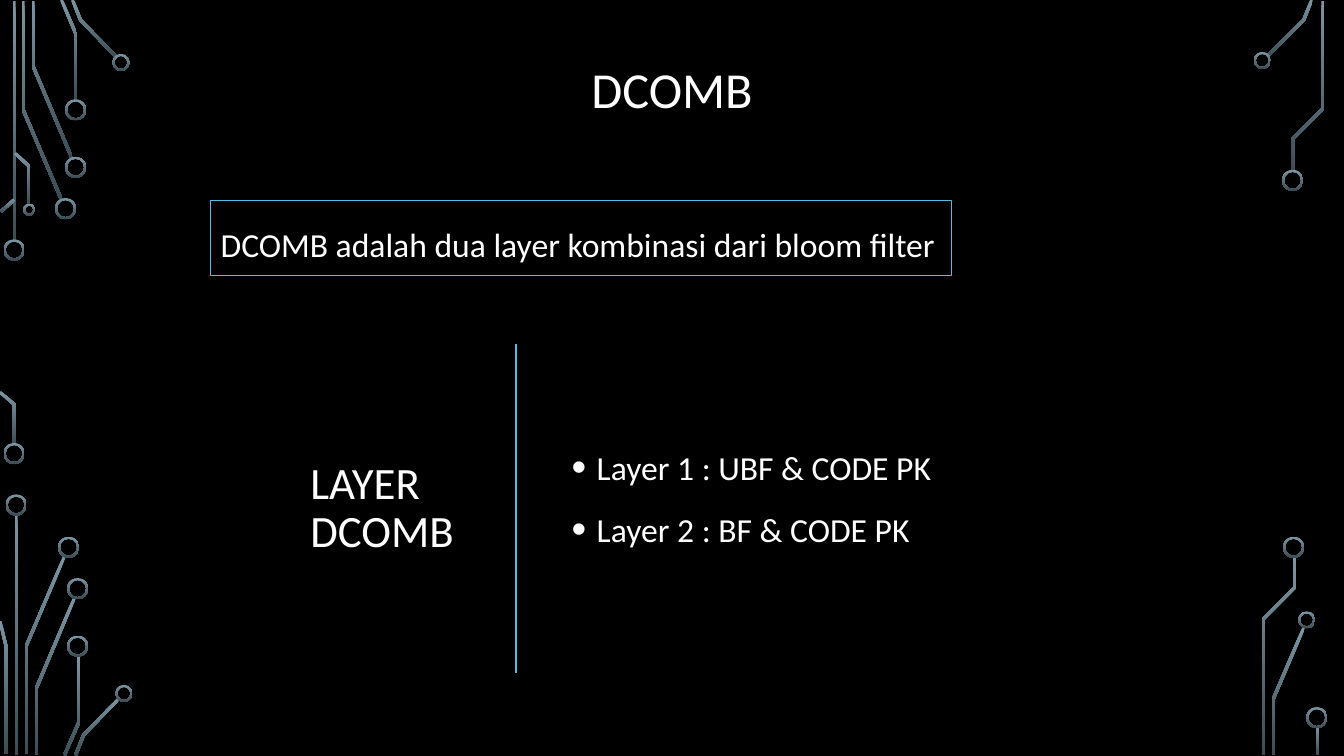
from math import hypot

from lxml.etree import SubElement
from pptx import Presentation
from pptx.dml.color import RGBColor
from pptx.enum.shapes import MSO_CONNECTOR, MSO_SHAPE
from pptx.enum.text import MSO_ANCHOR, PP_ALIGN
from pptx.oxml.ns import qn
from pptx.util import Inches, Pt

BLACK = RGBColor(0x00, 0x00, 0x00)
WHITE = RGBColor(0xFF, 0xFF, 0xFF)
CYAN = RGBColor(0x54, 0xBC, 0xDF)
PALE = RGBColor(0x7C, 0x96, 0xA3)
DARK = RGBColor(0x3B, 0x4C, 0x54)

TITLE = "DCOMB"
INTRO = "DCOMB adalah dua layer kombinasi dari bloom filter"
LABEL = "LAYER DCOMB"
LAYERS = ["Layer 1 : UBF & CODE PK", "Layer 2 : BF & CODE PK"]

# Circuit traces: the points along the middle of each track
TRACES = [
    [(0.14, 0.01), (0.14, 2.4)],
    [(0.23, 0.01), (0.23, 1.09), (0.61, 1.98)],
    [(0.33, 0.01), (0.33, 0.66), (0.71, 1.56)],
    [(0.61, 0), (0.75, 0.33), (0.75, 1)],
    [(0.72, 0), (0.8, 0.2), (1.16, 0.57)],
    [(0.01, 2.1), (0.14, 1.98)],
    [(0, 3.89), (0.14, 4.01), (0.14, 4.41)],
    [(0.15, 1.52), (0.29, 1.65), (0.29, 2.03)],
    [(0.16, 5.1), (0.16, 7.49)],
    [(0.26, 7.48), (0.26, 6.41), (0.64, 5.52)],
    [(0, 6.16), (0.06, 6.41), (0.06, 7.48)],
    [(0.36, 7.49), (0.36, 6.83), (0.74, 5.93)],
    [(0.64, 7.49), (0.78, 7.17), (0.78, 6.5)],
    [(0.75, 7.49), (0.83, 7.29), (1.18, 6.93)],
    [(13.01, 0), (12.93, 0.2), (12.57, 0.56)],
    [(12.82, 1.69), (12.82, 1.38), (13.12, 1.08), (13.12, 0.01)],
    [(12.63, 7.49), (12.63, 6.93), (12.93, 6.23)],
    [(12.53, 7.49), (12.53, 6.14), (12.84, 5.83), (12.84, 5.52)],
    [(13.07, 7.21), (13.07, 7.49)],
]
# Ring centres by diameter
RINGS = {
    0.21: [(0.14, 2.48), (0.14, 4.5), (0.65, 2.07), (0.75, 1.66), (0.75, 1.09),
           (0.16, 5.01), (0.68, 5.43), (0.77, 5.84), (0.77, 6.41),
           (12.82, 1.79), (12.83, 5.43), (13.06, 7.12)],
    0.17: [(1.2, 0.62), (1.23, 6.88), (12.52, 0.6), (12.96, 6.15)],
    0.12: [(0.29, 2.08)],
}
TRACK = 0.03
RIM = 0.02

deck = Presentation()
deck.slide_width, deck.slide_height = Inches(13.33), Inches(7.5)
slide = deck.slides.add_slide(deck.slide_layouts[6])
slide.background.fill.solid()
slide.background.fill.fore_color.rgb = BLACK
shapes = slide.shapes


def paint(shape):
    """Fill from pale at the top to dark at the bottom, with no line."""
    shape.shadow.inherit = False
    shape.line.fill.background()
    shape.fill.gradient()
    shape.fill.gradient_angle = 270
    for stop, shade in zip(shape.fill.gradient_stops, (PALE, DARK)):
        stop.color.rgb = shade


def add_trace(points):
    """Widen a middle line into a track with mitred corners."""
    norms = []
    for (x1, y1), (x2, y2) in zip(points, points[1:]):
        size = hypot(x2 - x1, y2 - y1)
        norms.append(((y1 - y2) / size, (x2 - x1) / size))
    left, right = [], []
    for (x, y), (ax, ay), (bx, by) in zip(points, norms[:1] + norms, norms + norms[-1:]):
        reach = TRACK / 2 / (1 + ax * bx + ay * by)
        dx, dy = (ax + bx) * reach, (ay + by) * reach
        left.append((Inches(x + dx), Inches(y + dy)))
        right.append((Inches(x - dx), Inches(y - dy)))
    edge = left + right[::-1]
    pen = shapes.build_freeform(*edge[0])
    pen.add_line_segments(edge[1:], close=True)
    paint(pen.convert_to_shape())


def add_ring(x, y, size):
    ring = shapes.add_shape(MSO_SHAPE.DONUT, Inches(x - size / 2), Inches(y - size / 2),
                            Inches(size), Inches(size))
    ring.adjustments[0] = RIM / size
    paint(ring)


def add_text(lines, box, size=24, align=PP_ALIGN.LEFT, anchor=MSO_ANCHOR.TOP,
             space=0.9, before=0, bullet=False):
    frame = shapes.add_textbox(*map(Inches, box)).text_frame
    frame.word_wrap = True
    frame.vertical_anchor = anchor
    for i, line in enumerate(lines):
        para = frame.paragraphs[0] if i == 0 else frame.add_paragraph()
        para.alignment = align
        para.line_spacing = space
        para.space_before = Pt(before)
        run = para.add_run()
        run.text = line
        run.font.name, run.font.size = "Calibri", Pt(size)
        run.font.color.rgb = WHITE
        if bullet:
            props = para._p.get_or_add_pPr()
            props.set("marL", str(Inches(0.25)))
            props.set("indent", str(Inches(-0.25)))
            SubElement(props, qn("a:buSzPct"), val="125000")
            SubElement(props, qn("a:buFont"), typeface="Arial")
            SubElement(props, qn("a:buChar"), char="•")


for points in TRACES:
    add_trace(points)
for size, spots in RINGS.items():
    for x, y in spots:
        add_ring(x, y, size)

add_text([TITLE], (5.42, 0.34, 2.49, 1.14), size=36, align=PP_ALIGN.CENTER,
         anchor=MSO_ANCHOR.MIDDLE)
add_text([INTRO], (2.09, 2.09, 7.67, 0.74), space=1.2, before=10)

frame = shapes.add_shape(MSO_SHAPE.RECTANGLE, Inches(2.09), Inches(1.99),
                         Inches(7.35), Inches(0.74))
frame.shadow.inherit = False
frame.fill.background()
frame.line.color.rgb = CYAN
frame.line.width = Pt(0.75)

add_text([LABEL], (2.98, 4.48, 1.89, 1.14), size=32, anchor=MSO_ANCHOR.MIDDLE)

rule = shapes.add_connector(MSO_CONNECTOR.STRAIGHT, Inches(5.12), Inches(3.41),
                            Inches(5.12), Inches(6.68))
rule.line.color.rgb = CYAN
rule.line.width = Pt(1.75)
SubElement(rule._element.spPr, qn("a:effectLst"))

add_text(LAYERS, (5.57, 4.3, 4.39, 1.48), space=1.2, before=10, bullet=True)

deck.save("out.pptx")
